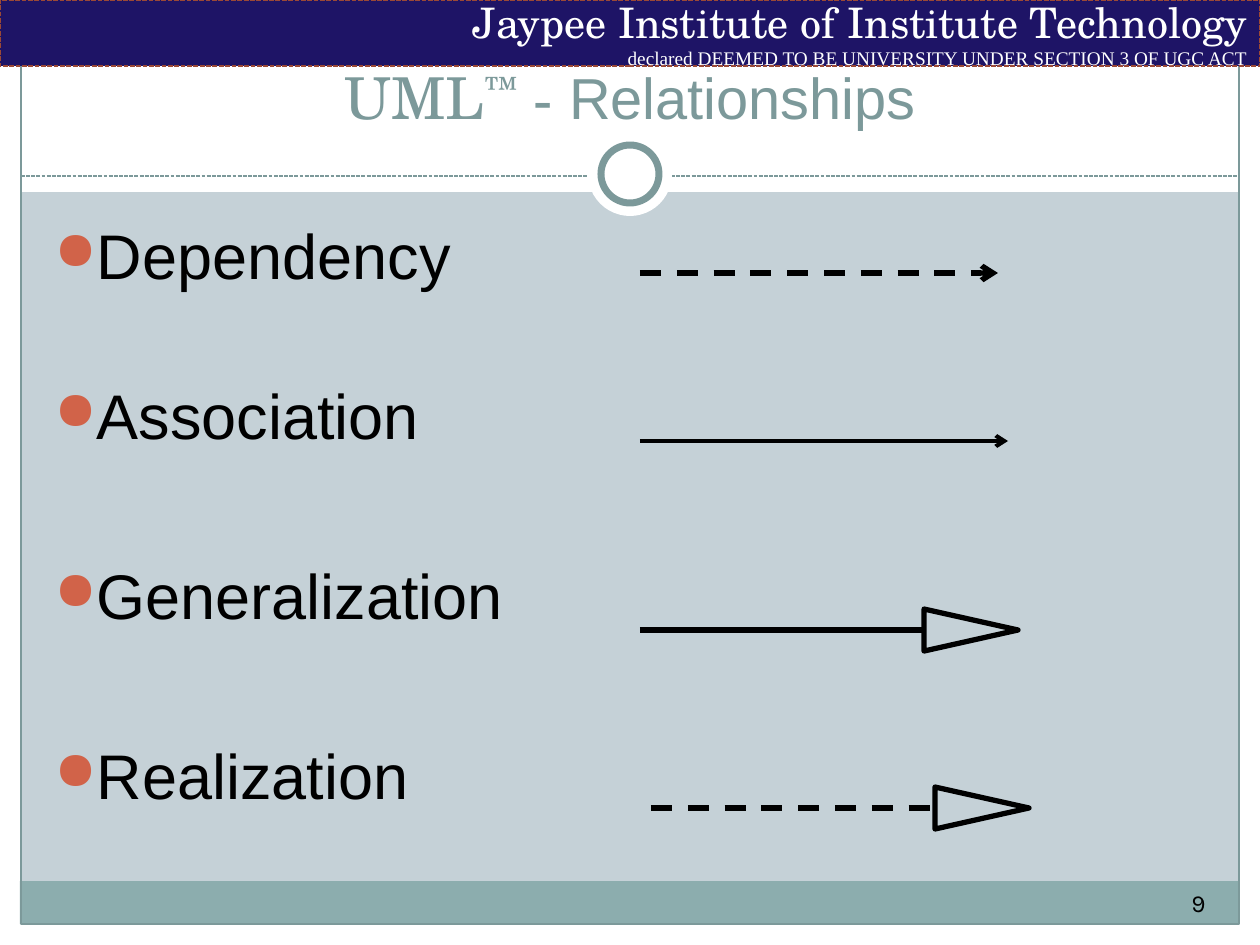
from pptx import Presentation, util as u
from pptx.dml.color import RGBColor
from pptx.enum import dml, shapes, text
from pptx.oxml.ns import qn
from lxml import etree

PX = 914400 / 126
WHITE, BLACK = RGBColor(255, 255, 255), RGBColor(0, 0, 0)
TEAL, FOOTER = RGBColor(0x7C, 0x99, 0x9A), RGBColor(0x8C, 0xAD, 0xAE)
BACK, NAVY = RGBColor(0xC5, 0xD1, 0xD7), RGBColor(0x1E, 0x14, 0x66)
RUST, BULLET = RGBColor(0x9B, 0x49, 0x36), "D16349"
SERIF, SANS = "TeX Gyre Schola", "Arial"
DASH, FINE = dml.MSO_LINE.DASH, dml.MSO_LINE.SQUARE_DOT
RECT, OVAL = shapes.MSO_SHAPE.RECTANGLE, shapes.MSO_SHAPE.OVAL
CENTER, RIGHT = text.PP_ALIGN.CENTER, text.PP_ALIGN.RIGHT

HEADER = [("Jaypee Institute of Institute Technology", 24, SERIF),
          ("declared DEEMED TO BE UNIVERSITY UNDER SECTION 3 OF UGC ACT", 11, "Times New Roman")]
TITLE = [("UML", SERIF, 0), ("™", SERIF, 30000), (" - ", SERIF, 0), ("Relationships", SANS, 0)]
# name, space before in points
RELATIONSHIPS = [("Dependency", 0), ("Association", 48.4),
                 ("Generalization", 59.6), ("Realization", 59.6)]
# start x, end x, y, width, dash, head
ARROWS = [(640, 998, 273, 3, DASH, "open"), (640, 1008, 441, 2.25, None, "open"),
          (640, 924, 630, 3, None, "triangle"), (651, 935, 808, 3, DASH, "triangle")]
HEAD_LENGTH, HEAD_HALF = 94, 21
MARGINS = [(0, 924, 1260, 21), (0, 0, 1260, 192), (0, 0, 21, 945), (1239, 0, 21, 945)]


def px(*values):
    return [u.Emu(round(v * PX)) for v in values]


def style_line(line, color, width, dash=None):
    line.color.rgb = color
    line.width = u.Pt(width)
    if dash:
        line.dash_style = dash


def shape(kind, box, fill=None, line=None):
    sp = s.shapes.add_shape(kind, *px(*box))
    sp.shadow.inherit = False
    if fill is None:
        sp.fill.background()
    else:
        sp.fill.solid()
        sp.fill.fore_color.rgb = fill
    if line:
        style_line(sp.line, *line)
    else:
        sp.line.fill.background()
    return sp


def connector(x1, y1, x2, y2, color, width, dash=None):
    cn = s.shapes.add_connector(shapes.MSO_CONNECTOR.STRAIGHT, *px(x1, y1, x2, y2))
    style_line(cn.line, color, width, dash)
    etree.SubElement(cn._element.spPr, qn("a:effectLst"))
    return cn


def textbox(*box):
    tf = s.shapes.add_textbox(*px(*box)).text_frame
    tf.word_wrap = True
    return tf


def set_font(font, name, size, color):
    font.name, font.size = name, u.Pt(size)
    font.color.rgb = color


def add_bullet(p):
    pPr = p._p.get_or_add_pPr()
    pPr.set("marL", str(px(38)[0]))
    pPr.set("indent", str(px(-38)[0]))
    color = etree.SubElement(pPr, qn("a:buClr"))
    etree.SubElement(color, qn("a:srgbClr"), val=BULLET)
    etree.SubElement(pPr, qn("a:buSzPct"), val="85000")
    etree.SubElement(pPr, qn("a:buChar"), char="●")


prs = Presentation()
prs.slide_width, prs.slide_height = px(1260, 945)
s = prs.slides.add_slide(prs.slide_layouts[6])
s.background.fill.solid()
s.background.fill.fore_color.rgb = BACK

# Frame
for box in MARGINS:
    shape(RECT, box, WHITE)
shape(RECT, (20, 881, 1218, 43), FOOTER)
shape(RECT, (21, 21, 1218, 903), None, (TEAL, 0.75))
connector(21, 176, 1239, 176, TEAL, 0.75, FINE)
shape(OVAL, (588, 132, 84, 84), WHITE)
shape(OVAL, (601, 145, 58, 58), WHITE, (TEAL, 4))

# Header band
tf = shape(RECT, (0, 0, 1260, 66), NAVY, (RUST, 0.9, FINE)).text_frame
tf.word_wrap = True
tf.vertical_anchor = text.MSO_ANCHOR.MIDDLE
tf.text = "\n".join(line for line, _, _ in HEADER)
for p, (_, size, name) in zip(tf.paragraphs, HEADER):
    p.alignment = RIGHT
    set_font(p.runs[0].font, name, size, WHITE)

# Page number
p = textbox(798, 882, 420, 50).paragraphs[0]
p.text = "9"
p.alignment = RIGHT
set_font(p.runs[0].font, "Karla", 14, BLACK)

# Title
tf = textbox(42, 32, 1176, 105)
tf.vertical_anchor = text.MSO_ANCHOR.BOTTOM
p = tf.paragraphs[0]
p.alignment = CENTER
for words, name, baseline in TITLE:
    r = p.add_run()
    r.text = words
    set_font(r.font, name, 33, TEAL)
    if baseline:
        r._r.get_or_add_rPr().set("baseline", str(baseline))

# Relationship names
tf = textbox(42, 210, 1172, 630)
tf.text = "\n".join(name for name, _ in RELATIONSHIPS)
for p, (_, gap) in zip(tf.paragraphs, RELATIONSHIPS):
    add_bullet(p)
    p.space_before = u.Pt(gap)
    set_font(p.runs[0].font, SANS, 36, BLACK)

# Relationship arrows
for x1, x2, y, width, dash, head in ARROWS:
    cn = connector(x1, y, x2, y, BLACK, width, dash)
    if head == "open":
        etree.SubElement(cn.line._get_or_add_ln(), qn("a:tailEnd"), type="arrow")
    else:
        fb = s.shapes.build_freeform(x2, y - HEAD_HALF, scale=PX)
        fb.add_line_segments([(x2 + HEAD_LENGTH, y), (x2, y + HEAD_HALF)], close=True)
        sp = fb.convert_to_shape()
        sp.shadow.inherit = False
        sp.fill.background()
        style_line(sp.line, BLACK, width)

prs.save("out.pptx")
